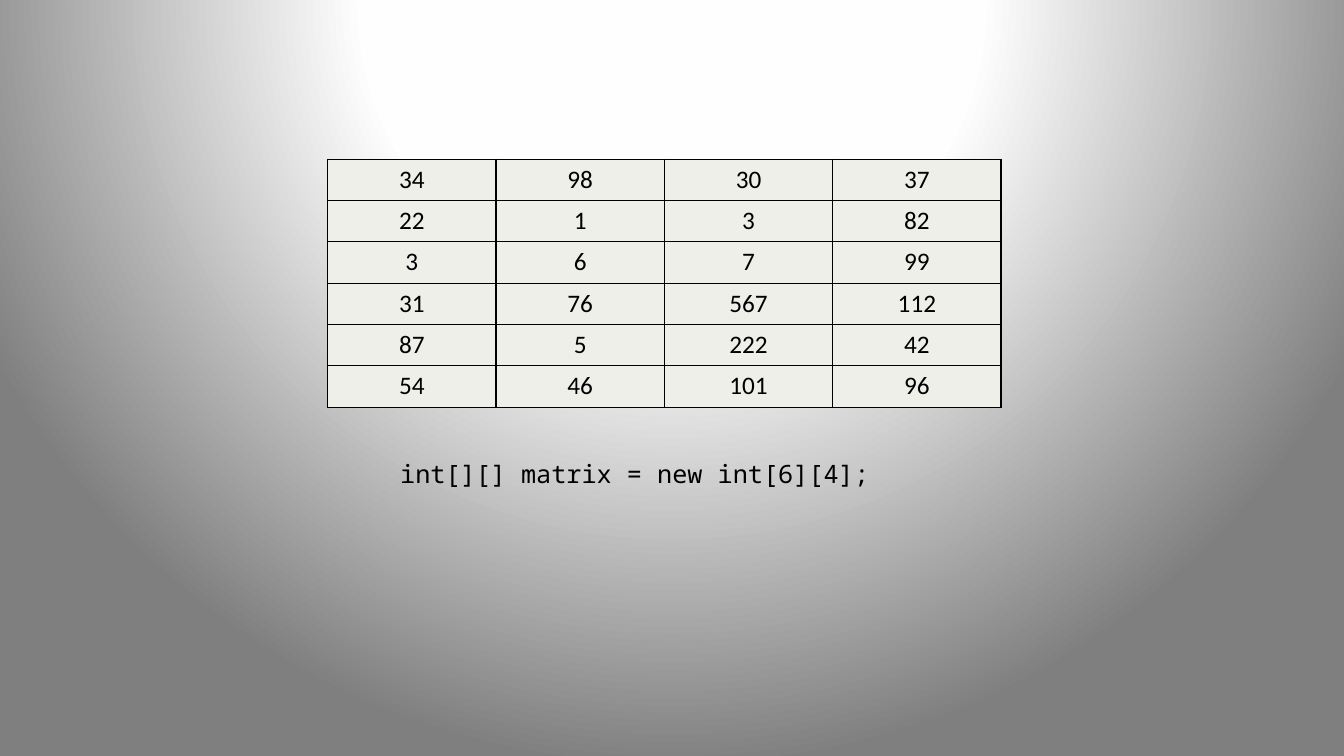
from pptx import Presentation
from pptx.dml.color import RGBColor
from pptx.enum.text import MSO_ANCHOR, MSO_AUTO_SIZE, PP_ALIGN
from pptx.oxml import parse_xml
from pptx.oxml.ns import nsdecls, qn
from pptx.util import Inches, Pt

# Content
MATRIX = [
    (34, 98, 30, 37),
    (22, 1, 3, 82),
    (3, 6, 7, 99),
    (31, 76, 567, 112),
    (87, 5, 222, 42),
    (54, 46, 101, 96),
]
DECLARATION = "int[][] matrix = new int[6][4];"

# Look
BLACK, CELL_FILL = "000000", "EFEFEA"
BACKGROUND_STOPS = [(0, "FFFFFF"), (40, "FEFEFE"), (100, "7F7F7F")]
LEFT, TOP = 3.25, 1.58
COL_W, ROW_H = 1.67, 0.41


def rgb(hex_color):
    return RGBColor.from_string(hex_color)


def write(tf, text, font="Calibri", size=18, color=BLACK, align=PP_ALIGN.LEFT):
    p = tf.paragraphs[0]
    p.alignment = align
    r = p.add_run()
    r.text = text
    r.font.name = font
    r.font.size = Pt(size)
    r.font.bold = False
    r.font.color.rgb = rgb(color)


def set_borders(cell, color=BLACK, width=1):
    tcPr = cell._tc.get_or_add_tcPr()
    for i, side in enumerate(("lnL", "lnR", "lnT", "lnB")):
        tcPr.insert(i, parse_xml(
            f'<a:{side} {nsdecls("a")} w="{Pt(width)}"><a:solidFill>'
            f'<a:srgbClr val="{color}"/></a:solidFill></a:{side}>'))


def set_background(slide, stops):
    slide.background.fill.gradient()
    grad = next(slide.element.iter(qn("a:gradFill")))
    gs = "".join(f'<a:gs pos="{pos * 1000}"><a:srgbClr val="{color}"/></a:gs>'
                 for pos, color in stops)
    grad.getparent().replace(grad, parse_xml(
        f'<a:gradFill {nsdecls("a")} rotWithShape="1"><a:gsLst>{gs}</a:gsLst>'
        '<a:path path="circle"><a:fillToRect l="50000" t="-80000" '
        'r="50000" b="180000"/></a:path></a:gradFill>'))


prs = Presentation()
prs.slide_width, prs.slide_height = Inches(13.33), Inches(7.5)
slide = prs.slides.add_slide(prs.slide_layouts[6])
set_background(slide, BACKGROUND_STOPS)

# Matrix table
n_rows, n_cols = len(MATRIX), len(MATRIX[0])
table = slide.shapes.add_table(
    n_rows, n_cols, Inches(LEFT), Inches(TOP),
    Inches(COL_W * n_cols), Inches(ROW_H * n_rows)).table
table.first_row = table.horz_banding = False
for col in table.columns:
    col.width = Inches(COL_W)
for row, values in zip(table.rows, MATRIX):
    row.height = Inches(ROW_H)
    for cell, value in zip(row.cells, values):
        cell.fill.solid()
        cell.fill.fore_color.rgb = rgb(CELL_FILL)
        set_borders(cell)
        write(cell.text_frame, str(value), align=PP_ALIGN.CENTER)

# Declaration below the table
box = slide.shapes.add_textbox(Inches(3.87), Inches(4.5), Inches(4.92), Inches(0.4))
tf = box.text_frame
tf.word_wrap = False
tf.auto_size = MSO_AUTO_SIZE.SHAPE_TO_FIT_TEXT
tf.vertical_anchor = MSO_ANCHOR.TOP
write(tf, DECLARATION, font="Noto Sans Mono")

prs.save("out.pptx")
